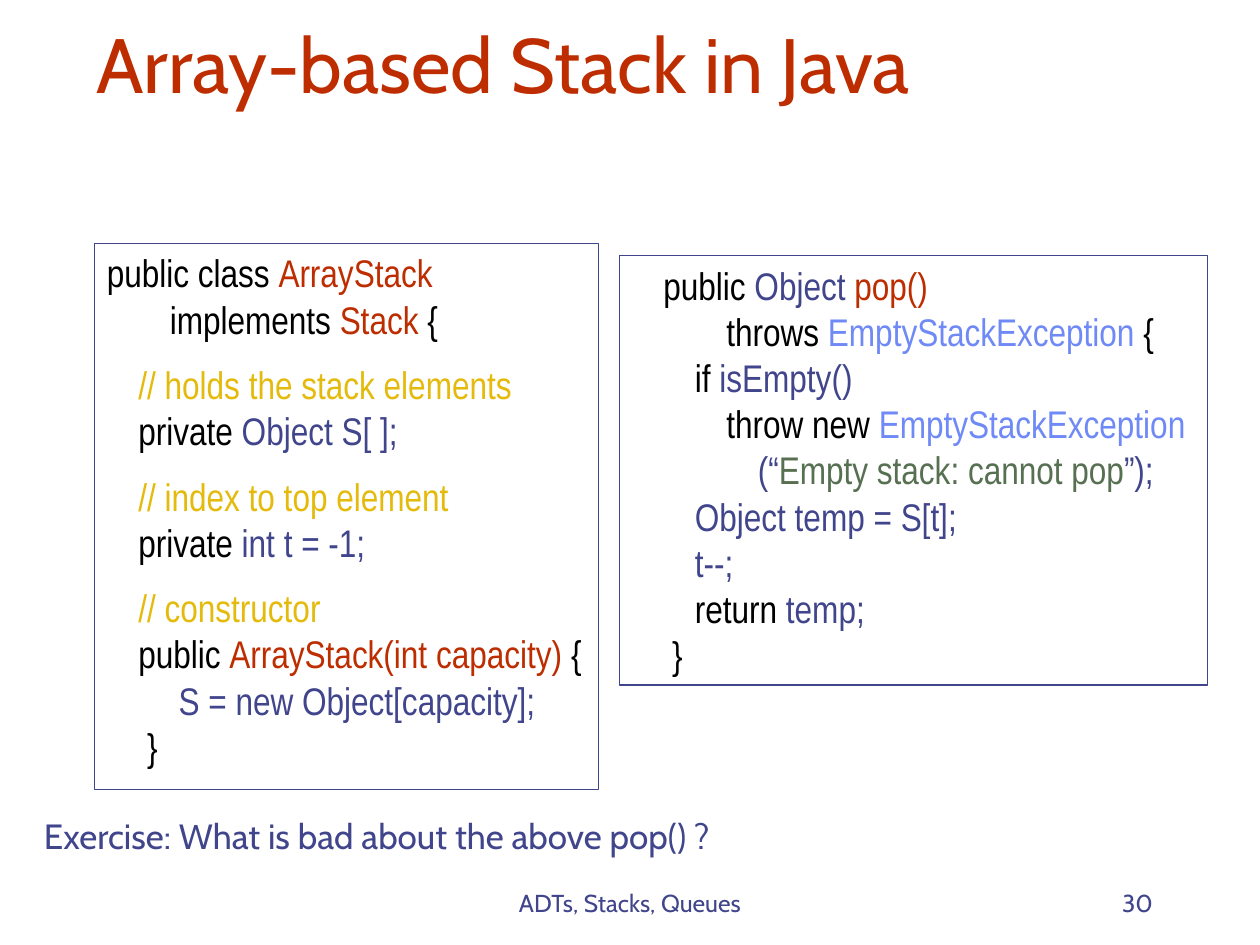
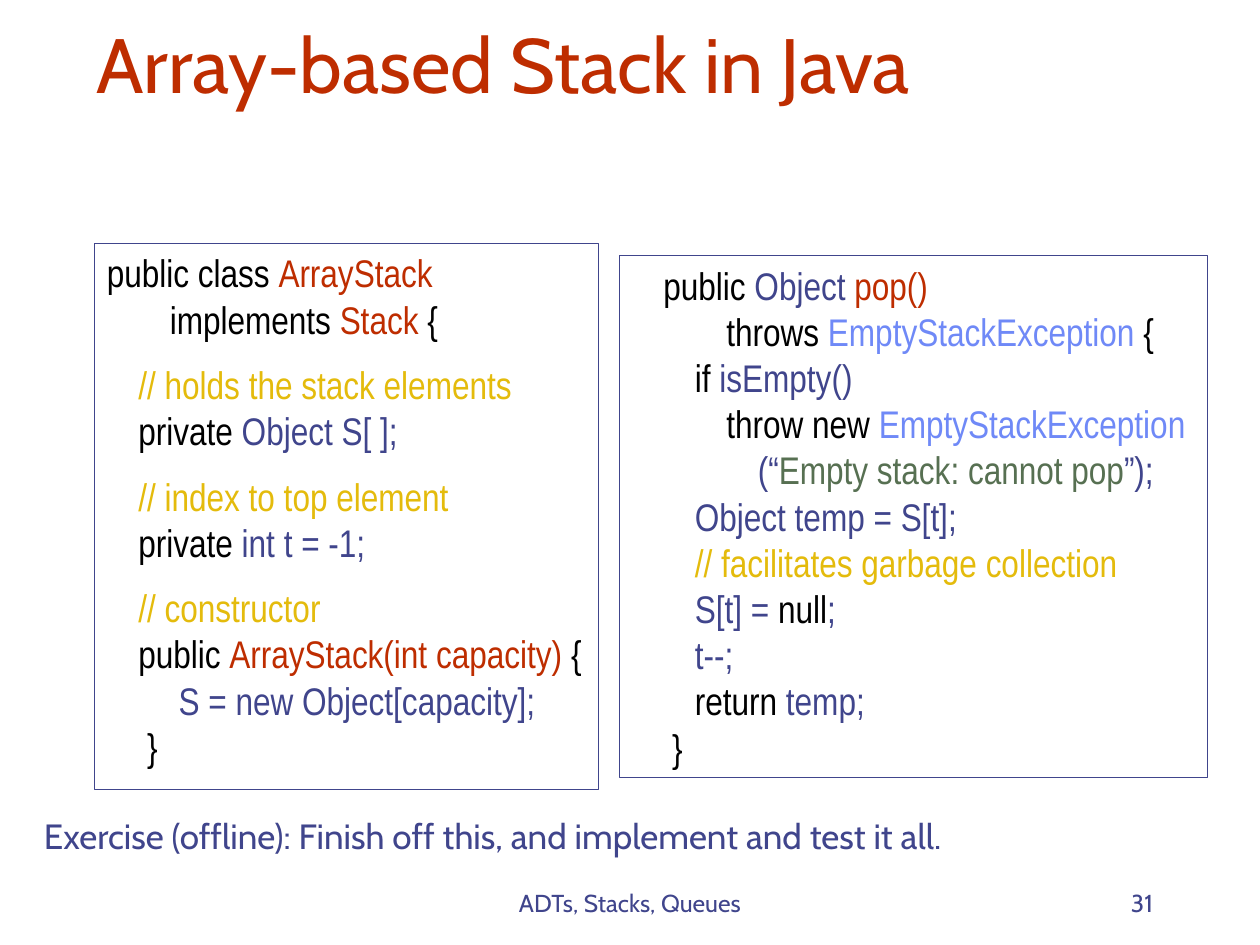
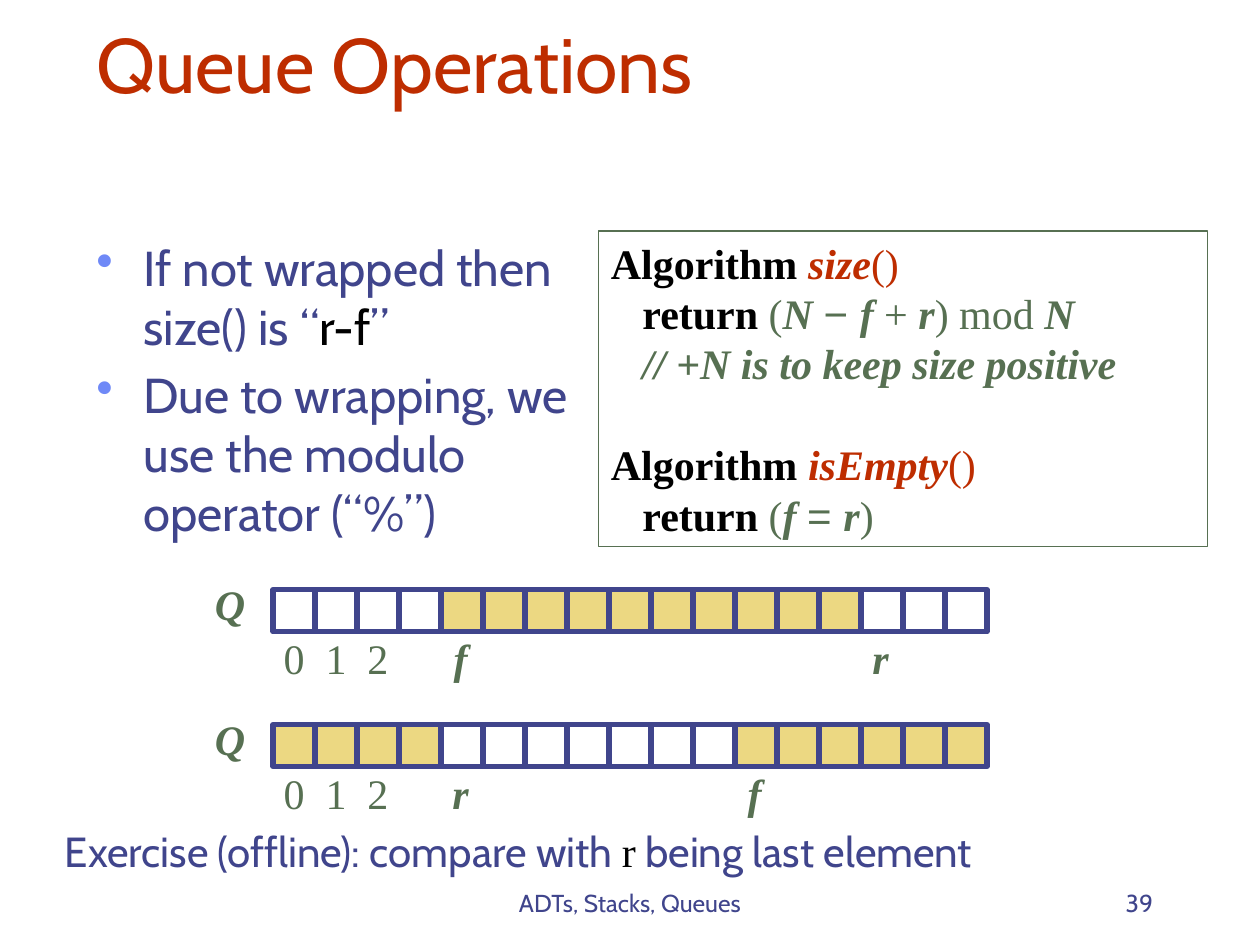
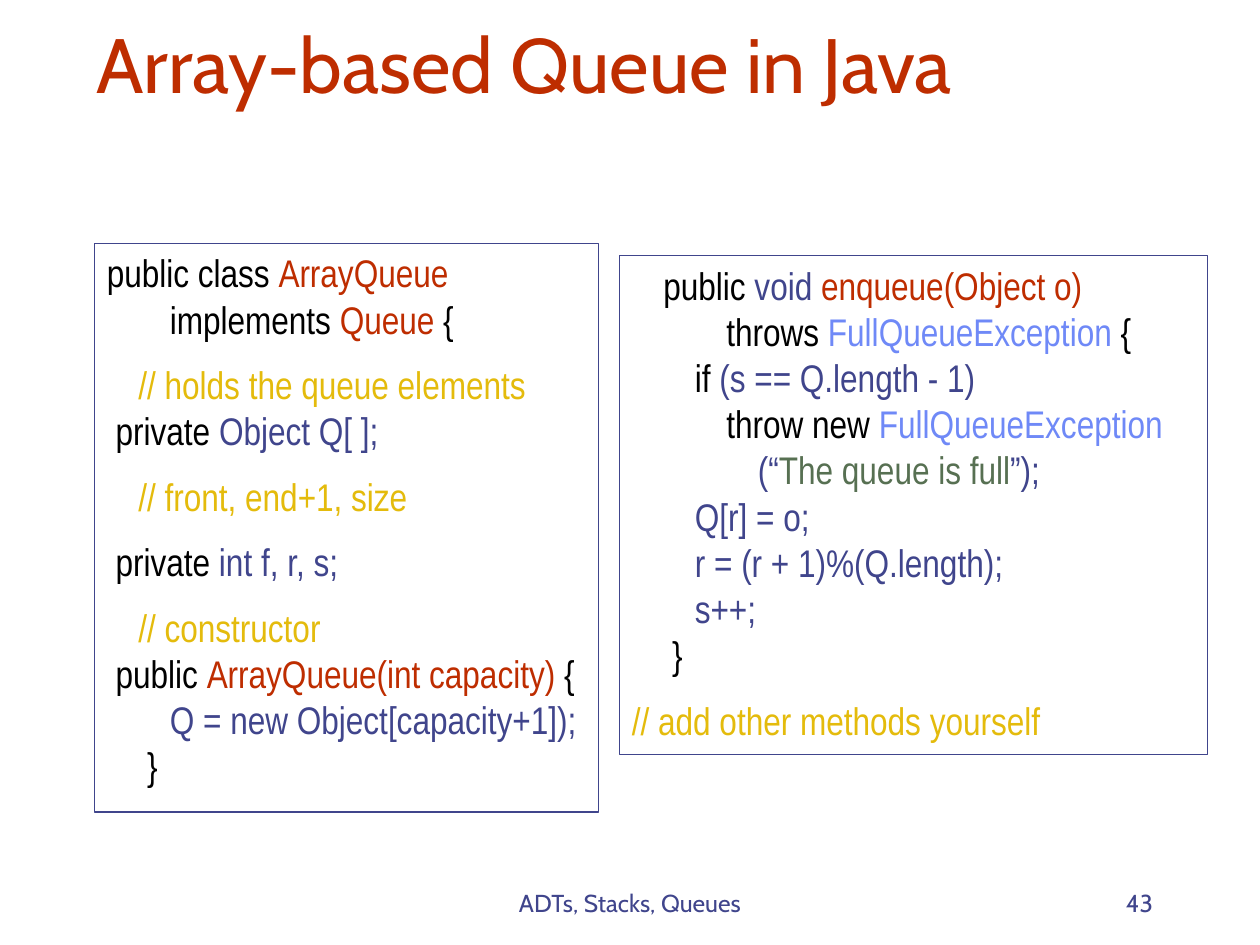
from dataclasses import dataclass
from typing import NamedTuple

from lxml import etree
from pptx import Presentation
from pptx.dml.color import RGBColor
from pptx.enum import shapes, text
from pptx.oxml import ns
from pptx.util import Pt

COLORS = {
    "navy": "40458C", "red": "BE2D00", "gold": "E4BB0C", "blue": "6F89F7",
    "green": "577052", "black": "000000", "white": "FFFFFF", "sand": "ECD882",
}
BODY, CODE, MATH = "Cabin", "Arial Narrow", "Times New Roman"
LEFT, CENTER, RIGHT = text.PP_ALIGN.LEFT, text.PP_ALIGN.CENTER, text.PP_ALIGN.RIGHT
TAB = 18    # distance between tab stops
CELL = 24   # side of one array cell


@dataclass(frozen=True)
class Style:
    color: str
    bold: bool = False
    italic: bool = False
    font: str | None = None


# Plain colours, then the styles of the pseudocode
STYLES = {name: Style(name) for name in COLORS} | {
    "keyword": Style("black", bold=True),
    "method": Style("red", bold=True, italic=True),
    "var": Style("green", bold=True, italic=True),
    "sign": Style("green", font="Arial"),
    "math": Style("black", font=MATH),
}


class Box(NamedTuple):
    x: float
    y: float
    w: float
    h: float


class Run(NamedTuple):
    style: str
    text: str


@dataclass
class Para:
    runs: list[Run]
    before: float = 0


@dataclass
class ArrayRow:
    top: float
    filled: set[int]
    marks: dict[str, int]   # letter -> cell index


def para(*pairs: tuple[str, str], before: float = 0) -> Para:
    return Para([Run(*pair) for pair in pairs], before)


def rgb(name: str) -> RGBColor:
    return RGBColor.from_string(COLORS[name])


def add_bullet(p) -> None:
    """Hanging round bullet."""
    ppr = p._p.get_or_add_pPr()
    ppr.set("marL", str(Pt(27)))
    ppr.set("indent", str(-Pt(27)))
    clr = etree.SubElement(ppr, ns.qn("a:buClr"))
    etree.SubElement(clr, ns.qn("a:srgbClr")).set("val", COLORS["blue"])
    etree.SubElement(ppr, ns.qn("a:buChar")).set("char", "•")


def add_tabs(p) -> None:
    """Evenly spaced tab stops."""
    tabs = etree.SubElement(p._p.get_or_add_pPr(), ns.qn("a:tabLst"))
    for i in range(1, 7):
        tab = etree.SubElement(tabs, ns.qn("a:tab"))
        tab.set("pos", str(Pt(TAB * i)))
        tab.set("algn", "l")


def write(sp, paras: list[Para], *, size: float, font: str = BODY, align=LEFT,
          anchor=text.MSO_ANCHOR.TOP, leading: float | None = None,
          inset: bool = True, bullet: bool = False, tabs: bool = False) -> None:
    tf = sp.text_frame
    tf.word_wrap = True
    tf.vertical_anchor = anchor
    if not inset:
        tf.margin_left = tf.margin_right = tf.margin_top = tf.margin_bottom = Pt(0)
    for i, item in enumerate(paras):
        p = tf.add_paragraph() if i else tf.paragraphs[0]
        p.alignment = align
        p.space_before = Pt(item.before)
        if leading:
            p.line_spacing = Pt(leading * size)
        if bullet:
            add_bullet(p)
        if tabs:
            add_tabs(p)
        for run in item.runs:
            style = STYLES[run.style]
            for n, line in enumerate(run.text.split("\n")):
                if n:
                    p.add_line_break()
                if not line:
                    continue
                r = p.add_run()
                r.text = line
                r.font.size = Pt(size)
                r.font.name = style.font or font
                r.font.bold, r.font.italic = style.bold, style.italic
                r.font.color.rgb = rgb(style.color)


def add_text(parent, box: Box, *paras: Para, **fmt) -> None:
    write(parent.shapes.add_textbox(*map(Pt, box)), list(paras), **fmt)


def add_rect(parent, box: Box, line: str, width: float, fill: str | None = None):
    sp = parent.shapes.add_shape(shapes.MSO_SHAPE.RECTANGLE, *map(Pt, box))
    sp.shadow.inherit = False
    if fill:
        sp.fill.solid()
        sp.fill.fore_color.rgb = rgb(fill)
    else:
        sp.fill.background()
    sp.line.color.rgb = rgb(line)
    sp.line.width = Pt(width)
    return sp


def add_code(s, box: Box, paras: list[Para], *, line: str = "navy",
             size: float = 22, font: str = CODE) -> None:
    write(add_rect(s, box, line, 0.75), paras, size=size, font=font,
          leading=1.2, tabs=True)


def add_array(s, row: ArrayRow) -> None:
    """Array of 17 cells with its name, first indices and marked cells."""
    grp = s.shapes.add_group_shape()
    left, label_top = 156, row.top + 24.5
    fmt = dict(size=24, font=MATH, leading=1.2, inset=False)
    add_text(grp, Box(120, row.top - 6.3, 23, 28.8), para(("var", "Q")),
             align=CENTER, **fmt)
    for i in range(3):
        add_text(grp, Box(left + 6 + CELL * i, label_top, 12, 28.8),
                 para(("green", str(i))), **fmt)
    for letter, i in row.marks.items():
        add_text(grp, Box(left + CELL * i, label_top, 22.3, 28.8),
                 para(("var", letter)), align=CENTER, **fmt)
    for i in range(17):
        add_rect(grp, Box(left + CELL * i, row.top, CELL, CELL), "navy", 3,
                 "sand" if i in row.filled else "white")


def add_slide(prs, title: str, number: int):
    s = prs.slides.add_slide(prs.slide_layouts[6])
    bottom = text.MSO_ANCHOR.BOTTOM
    add_text(s, Box(246, 492, 228, 36), para(("navy", "ADTs, Stacks, Queues")),
             size=14, align=CENTER, anchor=bottom)
    add_text(s, Box(516, 492, 150, 36), para(("navy", str(number))),
             size=14, align=RIGHT, anchor=bottom)
    add_text(s, Box(48, 24, 612, 42), para(("red", title)), size=44, anchor=bottom)
    return s


def class_head(name: str) -> Para:
    return para(("black", "public class "), ("red", f"Array{name}\n\t\t"),
                ("black", "implements "), ("red", f"{name} "), ("black", "{"))


def method_head(result: str, name: str, error: str, test: str, message: str) -> list:
    """Signature and guard clause of a method that may throw."""
    return [("black", "\tpublic"), ("navy", f" {result} "), ("red", f"{name}\n\t\t\t"),
            ("black", "throws "), ("blue", f"{error} "), ("black", "{\n\t\tif"),
            ("navy", f" {test}\n\t\t\t"), ("black", "throw new "),
            ("blue", f"{error}\n\t\t\t\t"), ("navy", "(“"), ("green", message),
            ("navy", "”);\n\t\t")]


def left_box(height: float) -> Box:
    return Box(54, 139, 288, height)


def right_box(height: float) -> Box:
    return Box(354, 146, 336, height)


prs = Presentation()
prs.slide_width, prs.slide_height = Pt(720), Pt(540)

# Stack slides: same class, two versions of pop()
stack_class = [
    class_head("Stack"),
    para(("gold", "\t// holds the stack elements\n\t"), ("black", "private "),
         ("navy", "Object S[ ];"), before=11),
    para(("gold", "\t// index to top element\n\t"), ("black", "private"),
         ("navy", " int t = -1;"), before=11),
    para(("gold", "\t// constructor\n\t"), ("black", "public "),
         ("red", "ArrayStack(int capacity) "), ("black", "{\n\t\t "),
         ("navy", "S = new Object[capacity];\n\t "), ("black", "}"), before=11),
]
clear_slot = [("gold", "// facilitates garbage collection\n\t\t"),
              ("navy", "S[t] = "), ("black", "null"), ("navy", ";\n\t\t")]
stack_slides = [
    (30, [], 245.5, "Exercise: What is bad about the above pop() ?"),
    (31, clear_slot, 298.3,
     "Exercise (offline): Finish off this, and implement and test it all."),
]
for number, extra, height, exercise in stack_slides:
    s = add_slide(prs, "Array-based Stack in Java", number)
    add_code(s, left_box(312), stack_class)
    add_code(s, right_box(height), [para(
        *method_head("Object", "pop()", "EmptyStackException", "isEmpty()",
                     "Empty stack: cannot pop"),
        ("navy", "Object temp = S[t];\n\t\t"), *extra, ("navy", "t--;\n\t\t"),
        ("black", "return "), ("navy", "temp;\n\t "), ("black", "}"))])
    add_text(s, Box(18, 462, 702, 31), para(("navy", exercise)), size=20)

# Queue operations
s = add_slide(prs, "Queue Operations", 39)
add_text(s, Box(48, 132, 288, 180),
         para(("navy", "If not wrapped then size() is “"), ("black", "r-f"),
              ("navy", "”"), before=5.6),
         para(("navy", "Due to wrapping, we use the modulo operator (“%”)"),
              before=5.6),
         size=28, bullet=True)
add_code(s, Box(342, 132, 348, 180.4), [
    para(("keyword", "Algorithm "), ("method", "size"), ("red", "()")),
    para(("keyword", "\treturn "), ("green", "("), ("var", "N "), ("sign", "− "),
         ("var", "f"), ("green", " + "), ("var", "r"), ("green", ") mod "),
         ("var", "N")),
    para(("var", "\t// +N is to keep size positive")),
    para(("keyword", "Algorithm "), ("method", "isEmpty"), ("red", "()"),
         before=28.8),
    para(("keyword", "\treturn "), ("green", "("), ("var", "f "), ("sign", "= "),
         ("var", "r"), ("green", ")")),
], line="green", size=24, font=MATH)
for row in (ArrayRow(337, set(range(4, 14)), {"f": 4, "r": 14}),
            ArrayRow(414, set(range(17)) - set(range(4, 11)), {"r": 4, "f": 11})):
    add_array(s, row)
add_text(s, Box(30, 468, 570, 36),
         para(("navy", "Exercise (offline): compare with "), ("math", "r"),
              ("navy", " being last element")), size=24)

# Queue class
s = add_slide(prs, "Array-based Queue in Java", 43)
add_code(s, left_box(325), [
    class_head("Queue"),
    para(("gold", "\t// holds the queue elements\n "), ("black", "private "),
         ("navy", "Object Q[ ];"), before=11),
    para(("gold", "\t// front, end+1, size"), before=11),
    para(("black", " private"), ("navy", " int f, r, s;"), before=11),
    para(("gold", "\t// constructor\n "), ("black", "public "),
         ("red", "ArrayQueue(int capacity) "), ("black", "{\n\t\t"),
         ("navy", "Q = new Object[capacity+1]);\n\t "), ("black", "}"), before=11),
])
add_code(s, right_box(285), [
    para(*method_head("void", "enqueue(Object o)", "FullQueueException",
                      "(s == Q.length - 1)", "The queue is full"),
         ("navy", "Q[r] = o;\n\t\tr = (r + 1)%(Q.length);\n\t\ts++;\n\t "),
         ("black", "}")),
    para(("gold", "// add other methods yourself"), before=11),
])

prs.save("out.pptx")
